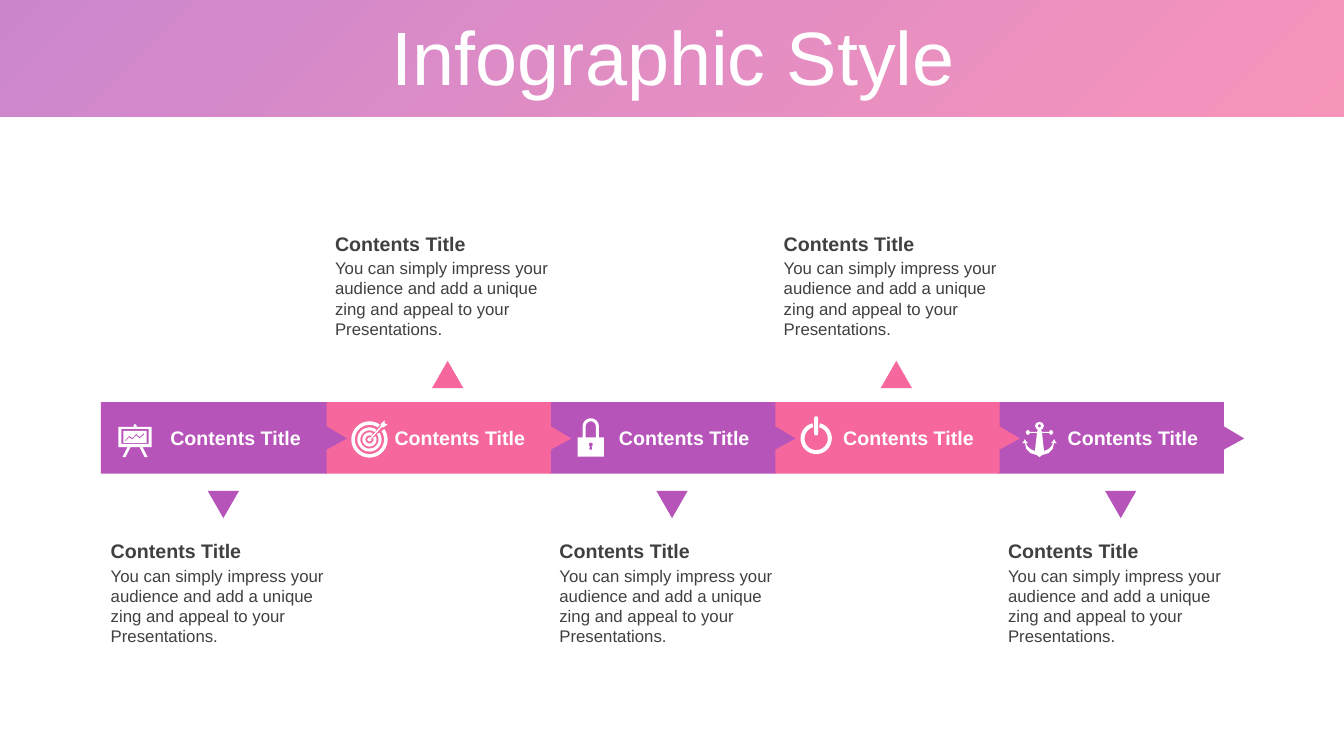
from dataclasses import dataclass
from math import cos, radians, sin

from lxml import etree
from pptx import Presentation
from pptx import util as u
from pptx.dml.color import RGBColor
from pptx.enum import shapes, text
from pptx.oxml import ns

PURPLE = RGBColor(0xB7, 0x54, 0xBA)
PINK = RGBColor(0xF5, 0x67, 0x9D)
WHITE = RGBColor(0xFF, 0xFF, 0xFF)
GRAY = RGBColor(0x40, 0x40, 0x40)
FONT = "Arial"

HEADING = "Contents Title"
BODY = ("You can simply impress your audience and add a unique "
        "zing and appeal to your Presentations.")

# Grid in inches: five columns along one band of arrows
SLIDE_WIDTH, SLIDE_HEIGHT = 13.33, 7.5
FIRST_COLUMN, LAST_COLUMN = 1, 9.9
COLUMN_STEP = (LAST_COLUMN - FIRST_COLUMN) / 4
TEXT_WIDTH = 2.44
BAND_TOP = 3.99
LABEL_TOP = 4.18
UPPER_ROW, LOWER_ROW = 2.25, 5.3
UPPER_MARKER, LOWER_MARKER = 3.58, 4.87

Point = tuple[float, float]
Contour = list[Point]


def box(left: float, top: float, right: float, bottom: float) -> Contour:
    return [(left, top), (right, top), (right, bottom), (left, bottom)]


def mirror(half: Contour) -> Contour:
    """Complete a right half with its reflection in the vertical axis."""
    return half + [(-x, y) for x, y in reversed(half)]


def arc(radius: float, start: float, end: float, center_y: float = 0) -> Contour:
    """Points on an arc; degrees run counter-clockwise from the right."""
    steps = 36
    angles = [radians(start + (end - start) * i / steps) for i in range(steps + 1)]
    return [(radius * cos(a), center_y - radius * sin(a)) for a in angles]


def open_ring(outer: float, inner: float, middle: float, half_gap: float) -> Contour:
    """Ring with a gap centred on the angle `middle`."""
    start, end = middle + half_gap, middle + 360 - half_gap
    return arc(outer, start, end) + arc(inner, end, start)


# Outlines in hundredths of an inch; icons are centred on the origin
ARROW = [[(0, 0), (224, 0), (224, 24), (244, 36), (224, 47), (224, 71), (0, 71)]]

CHART_LINE = [(-9.5, -0.5), (-6, -4.5), (-2.5, -2.5), (1, -6.5), (4.5, -3.5), (9, -7.5)]
BOARD = [
    mirror([(0, -16.5), (1.5, -15), (1.5, -13.5), (16.5, -13.5), (16.5, 6.5),
            (7.5, 6.5), (12.5, 16.5), (9.5, 16.5), (4.5, 6.5), (0, 6.5)]),
    box(-13.5, -11.5, 13.5, 3.5),
    box(-11.5, -9.5, 11.5, 2.5),
    CHART_LINE + [(x, y + 1.5) for x, y in reversed(CHART_LINE)],
]
TARGET = [
    open_ring(18, 14.5, 45, 10),
    open_ring(12, 9, 45, 10),
    open_ring(7, 4, 45, 18),
    arc(2, 0, 360),
    [(15, -19), (15, -16), (18, -15), (14, -12), (12, -12), (2, -1),
     (1, -2), (11, -13), (11, -15)],
]
LOCK = [
    box(-13, 0, 13, 19),
    arc(8, 180, 0, -11) + [(8, 0), (5, 0)] + arc(5, 0, 180, -11) + [(-5, 0), (-8, 0)],
    arc(2, -60, 240, 7) + [(-1.5, 12), (1.5, 12)],
]
POWER = [
    open_ring(15.5, 11.5, 90, 14),
    arc(2, 0, 180, -20) + arc(2, 180, 360, -5),
]
ANCHOR = [
    mirror([(0, -17.5), (3, -16.5), (4.5, -13.5), (3, -10.5), (1.5, -9.5),
            (2.5, -7.5), (9.5, -7.5), (10, -8.5), (11.5, -9.5), (13, -8.5),
            (13.5, -7), (13, -5.5), (11.5, -4.5), (10, -5.5), (9.5, -6.5),
            (2.5, -6.5), (4.5, 11.5), (9, 9.5), (12, 6.5), (13.5, 3.5),
            (11.5, 3.5), (13.5, 1.5), (14.5, -0.5), (15.5, 1.5), (17, 3.5),
            (14.5, 3.5), (13, 9.5), (9, 13.5), (2.5, 15.5), (0, 17.5)]),
    arc(1.5, 0, 360, -13.5),
]


@dataclass(frozen=True)
class Step:
    color: RGBColor
    icon: list[Contour]
    icon_x: float  # icon centre from the column's left edge
    icon_y: float
    text_above: bool


STEPS = [
    Step(PURPLE, BOARD, 0.34, 4.37, False),
    Step(PINK, TARGET, 0.44, 4.36, True),
    Step(PURPLE, LOCK, 0.41, 4.34, False),
    Step(PINK, POWER, 0.42, 4.35, True),
    Step(PURPLE, ANCHOR, 0.41, 4.36, False),
]


def column(index: int) -> float:
    return FIRST_COLUMN + index * COLUMN_STEP


def paint(shape, color: RGBColor) -> None:
    shape.fill.solid()
    shape.fill.fore_color.rgb = color
    shape.line.fill.background()
    shape.shadow.inherit = False


def add_outline(slide, contours: list[Contour], left: float, top: float,
                color: RGBColor) -> None:
    """Draw contours as one shape; a contour inside another cuts a hole."""
    placed = [[(u.Inches(left + x / 100), u.Inches(top + y / 100)) for x, y in contour]
              for contour in contours]
    builder = slide.shapes.build_freeform(*placed[0][0])
    builder.add_line_segments(placed[0][1:], close=True)
    for contour in placed[1:]:
        builder.move_to(*contour[0])
        builder.add_line_segments(contour[1:], close=True)
    paint(builder.convert_to_shape(), color)


def style_text(frame, size: float, color: RGBColor, bold: bool = False) -> None:
    font = frame.paragraphs[0].runs[0].font
    font.name, font.size, font.bold = FONT, u.Pt(size), bold
    font.color.rgb = color


def add_text(parent, words: str, left: float, top: float, width: float, height: float,
             size: float, color: RGBColor, bold: bool = False) -> None:
    frame = parent.shapes.add_textbox(*map(u.Inches, (left, top, width, height))).text_frame
    frame.word_wrap = True
    frame.auto_size = text.MSO_AUTO_SIZE.SHAPE_TO_FIT_TEXT
    frame.text = words
    style_text(frame, size, color, bold)


def add_header(slide) -> None:
    header = slide.shapes.add_shape(shapes.MSO_SHAPE.RECTANGLE, 0, 0,
                                    u.Inches(SLIDE_WIDTH), u.Inches(1.16))
    paint(header, PINK)
    header.fill.gradient()
    header.fill.gradient_angle = 135
    for stop, color in zip(header.fill.gradient_stops, (PINK, PURPLE)):
        stop.color.rgb = color
    for color_element in header._element.spPr.iter(ns.qn("a:srgbClr")):
        etree.SubElement(color_element, ns.qn("a:alpha"), val="70000")
    slide.shapes._spTree.insert(2, header._element)  # behind the title

    title = slide.shapes.title
    title.left, title.top, title.width, title.height = map(u.Inches, (0.35, 0.21, 12.66, 0.79))
    frame = title.text_frame
    frame.text = "Infographic Style"
    frame.auto_size = text.MSO_AUTO_SIZE.NONE
    frame.vertical_anchor = text.MSO_ANCHOR.MIDDLE
    frame.paragraphs[0].alignment = text.PP_ALIGN.CENTER
    frame.paragraphs[0].line_spacing = 0.9
    style_text(frame, 54, WHITE)


def add_step(slide, step: Step, left: float) -> None:
    add_outline(slide, step.icon, left + step.icon_x, step.icon_y, WHITE)
    add_text(slide, HEADING, left + 0.59, LABEL_TOP, 1.51, 0.34, 14, WHITE, True)

    marker_top = UPPER_MARKER if step.text_above else LOWER_MARKER
    marker = slide.shapes.add_shape(shapes.MSO_SHAPE.ISOSCELES_TRIANGLE,
                                    *map(u.Inches, (left + 1.06, marker_top, 0.31, 0.27)))
    marker.rotation = 0 if step.text_above else 180
    paint(marker, step.color)

    row = UPPER_ROW if step.text_above else LOWER_ROW
    group = slide.shapes.add_group_shape()
    add_text(group, BODY, left, row + 0.26, TEXT_WIDTH, 0.91, 12, GRAY)
    add_text(group, HEADING, left, row, TEXT_WIDTH, 0.34, 14, GRAY, True)


def main() -> None:
    presentation = Presentation()
    presentation.slide_width = u.Inches(SLIDE_WIDTH)
    presentation.slide_height = u.Inches(SLIDE_HEIGHT)
    slide = presentation.slides.add_slide(presentation.slide_layouts.get_by_name("Title Only"))
    add_header(slide)
    # Right to left, so that each arrow tip overlaps the next arrow
    for index, step in reversed(list(enumerate(STEPS))):
        add_outline(slide, ARROW, column(index), BAND_TOP, step.color)
    for index, step in enumerate(STEPS):
        add_step(slide, step, column(index))
    presentation.save("out.pptx")


if __name__ == "__main__":
    main()
